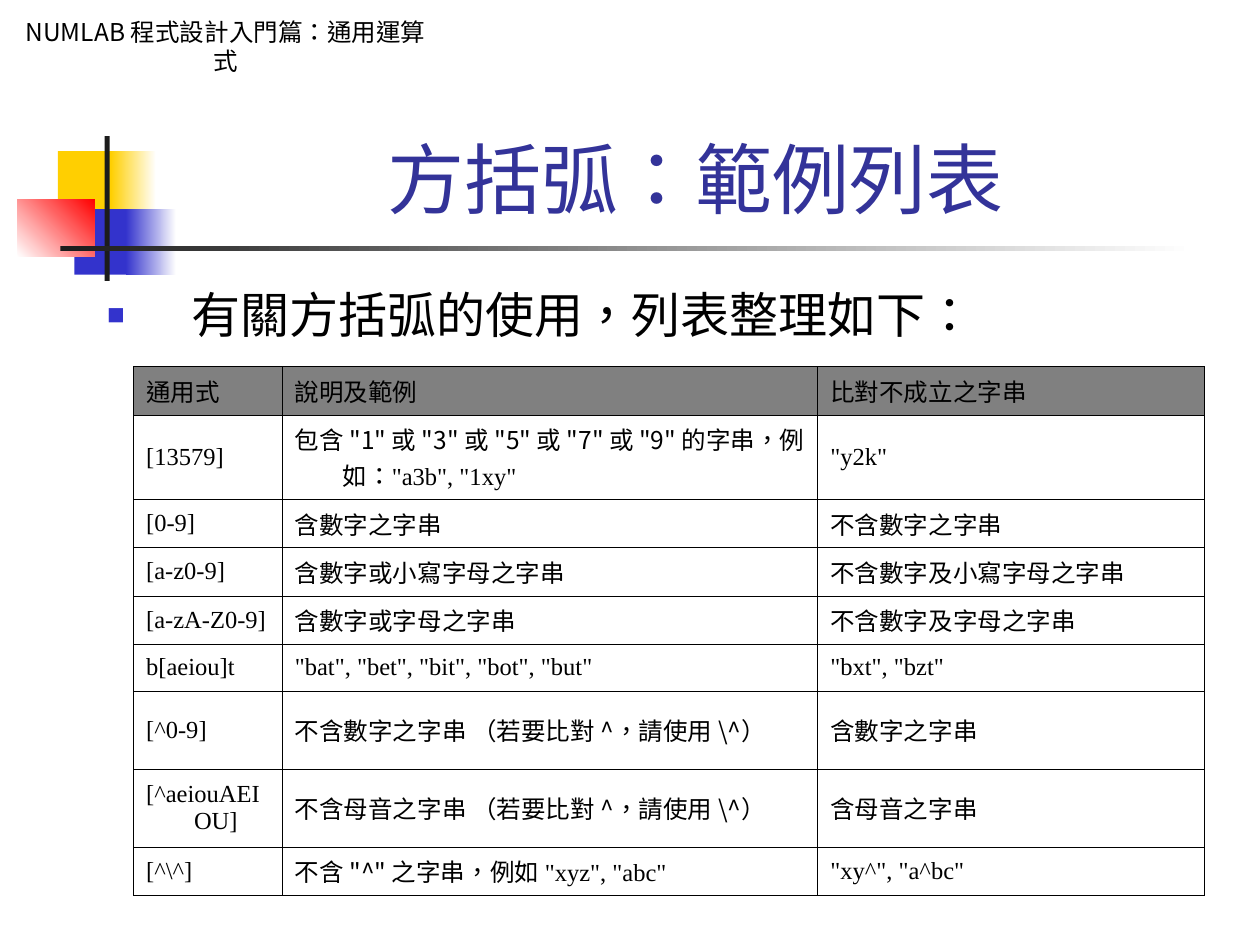
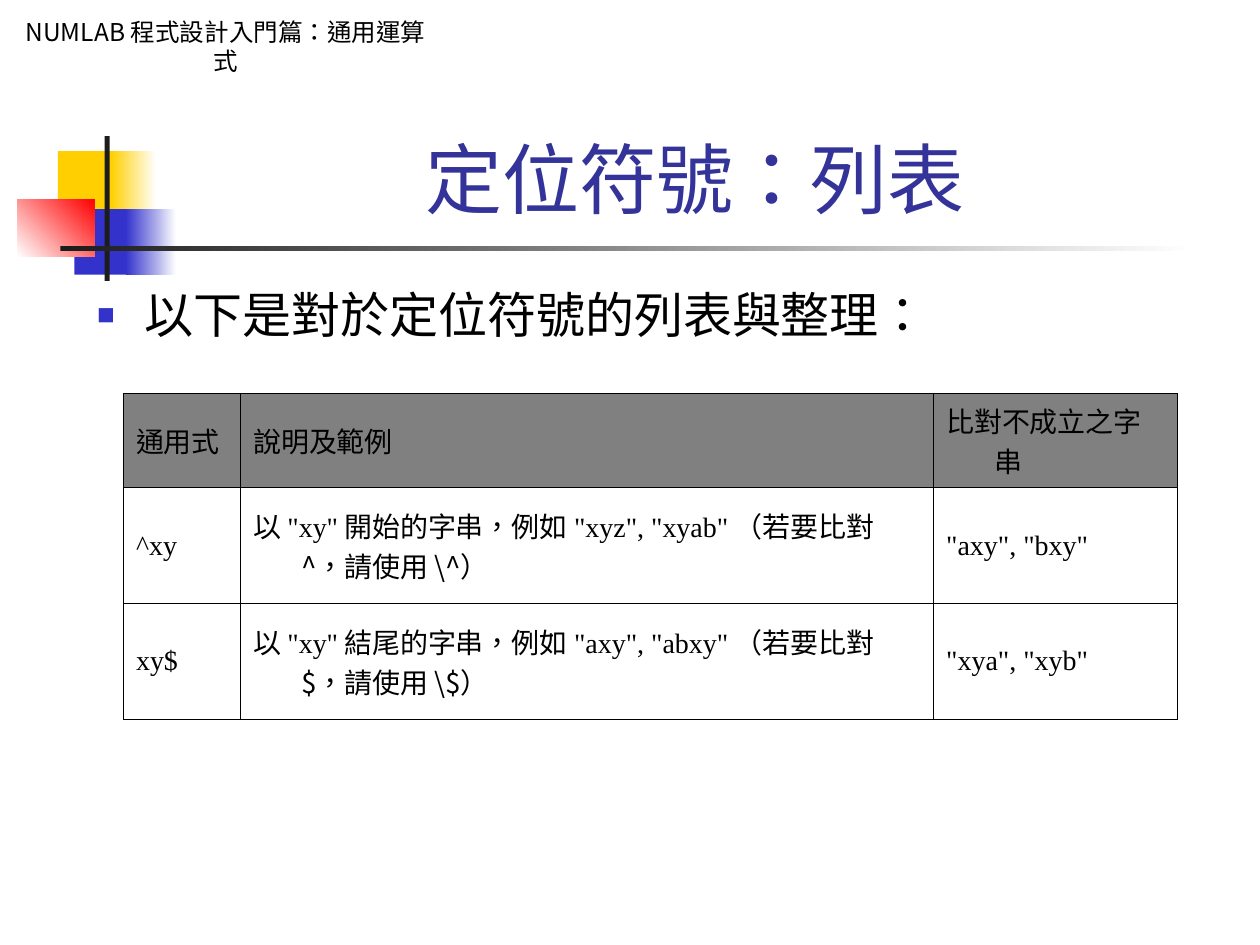
from lxml import etree
from pptx import Presentation
from pptx.dml.color import RGBColor
from pptx.enum.shapes import MSO_SHAPE
from pptx.enum.text import MSO_ANCHOR, MSO_AUTO_SIZE, PP_ALIGN
from pptx.oxml.ns import qn
from pptx.util import Inches, Pt

RECT = MSO_SHAPE.RECTANGLE
MIDDLE, BOTTOM = MSO_ANCHOR.MIDDLE, MSO_ANCHOR.BOTTOM
LEFT, CENTER, JUSTIFY = PP_ALIGN.LEFT, PP_ALIGN.CENTER, PP_ALIGN.JUSTIFY
NO_FIT = MSO_AUTO_SIZE.NONE

C = {
    "yellow": "FFCF01", "blue": "3333CC", "red": "FF0000", "dark": "1C1C1C",
    "title": "333399", "black": "000000", "white": "FFFFFF", "head": "808080",
}
SANS, SERIF, TITLE_FONT = "Noto Sans CJK SC", "Times New Roman", "Roboto"


def rgb(name):
    return RGBColor.from_string(C[name])


def style_run(r, size, font, color="black", asian=SANS):
    r.font.size = Pt(size)
    r.font.name = font
    r.font.color.rgb = rgb(color)
    rPr = r.font._element
    rPr.set("lang", "zh-TW")
    ea = etree.Element(qn("a:ea"), typeface=asian)
    rPr.find(qn("a:latin")).addnext(ea)


DECOR = [
    (0.46, 1.2, 0.48, 0.52, ["yellow"], 0),
    (0.88, 1.2, 0.36, 0.52, ["yellow", "white"], 0),
    (0.59, 1.66, 0.46, 0.52, ["blue"], 0),
    (1, 1.66, 0.4, 0.52, ["blue", "white"], 0),
    (0.14, 1.58, 0.61, 0.46, ["white", "red"], 45),
    (0.83, 1.08, 0.04, 1.15, ["dark"], 0),
    (0.48, 1.95, 9, 0.04, ["dark", "white"], 0),
    (0.08, 0.08, 3.42, 0.57, ["white"], 0),
]
HEADER = "NUMLAB 程式設計入門篇：通用運算式"
HEAD_ROW = ["通用式", "說明及範例", "比對不成立之字串"]

SLIDES = [
    {
        "title": "方括弧：範例列表",
        "body": "有關方括弧的使用，列表整理如下：",
        "body_at": (0.75, 2.21, 8.74, 4.5), "indent": 0.67, "align": LEFT, "font": SANS,
        "table_at": (1.06, 2.91), "size": 14,
        "cols": [1.18, 4.25, 3.07],
        "heights": [0.37, 0.62, 0.37, 0.37, 0.37, 0.37, 0.62, 0.62, 0.37],
        "rows": [
            HEAD_ROW,
            ["[13579]",
             ['包含 "1" 或 "3" 或 "5" 或 "7" 或 "9" 的字串，例如：', '"a3b", "1xy"'],
             '"y2k"'],
            ["[0-9]", "含數字之字串", "不含數字之字串"],
            ["[a-z0-9]", "含數字或小寫字母之字串", "不含數字及小寫字母之字串"],
            ["[a-zA-Z0-9]", "含數字或字母之字串", "不含數字及字母之字串"],
            ["b[aeiou]t", '"bat", "bet", "bit", "bot", "but"', '"bxt", "bzt"'],
            ["[^0-9]", "不含數字之字串 （若要比對 ^，請使用 \\^）", "含數字之字串"],
            ["[^aeiouAEIOU]", "不含母音之字串 （若要比對 ^，請使用 \\^）", "含母音之字串"],
            ["[^\\^]", ['不含 "^" 之字串，例如 ', '"xyz", "abc"'], '"xy^", "a^bc"'],
        ],
    },
    {
        "title": "定位符號：列表",
        "body": "以下是對於定位符號的列表與整理：",
        "body_at": (0.67, 2.21, 9.14, 4.5), "indent": 0.38, "align": JUSTIFY,
        "font": TITLE_FONT,
        "table_at": (0.98, 3.12), "size": 16,
        "cols": [0.93, 5.5, 1.93],
        "heights": [0.75, 0.92, 0.92],
        "rows": [
            HEAD_ROW,
            ["^xy",
             ["以 ", '"xy"', " 開始的字串，例如 ", '"xyz", "xyab"',
              " （若要比對 ^，請使用 \\^）"],
             '"axy", "bxy"'],
            ["xy$",
             ["以 ", '"xy"', " 結尾的字串，例如 ", '"axy", "abxy"',
              " （若要比對 $，請使用 \\$）"],
             '"xya", "xyb"'],
        ],
    },
]

prs = Presentation()
prs.slide_width, prs.slide_height = Inches(10), Inches(7.5)
layout = prs.slide_layouts[1]
title = layout.placeholders[0]
title.left, title.top = Inches(1.26), Inches(0.23)
title.width, title.height = Inches(8.52), Inches(1.6)

slides = [prs.slides.add_slide(layout) for data in SLIDES]

for x, y, w, h, colors, angle in DECOR:
    sp = slides[0].shapes.add_shape(RECT, Inches(x), Inches(y), Inches(w), Inches(h))
    sp.shadow.inherit = False
    sp.line.fill.background()
    if len(colors) == 1:
        sp.fill.solid()
        sp.fill.fore_color.rgb = rgb(colors[0])
    else:
        sp.fill.gradient()
        sp.fill.gradient_angle = angle
        for stop, color in zip(sp.fill.gradient_stops, colors):
            stop.color.rgb = rgb(color)
    layout.shapes._spTree.append(sp._element)

tf = sp.text_frame
tf.word_wrap = True
tf.text = HEADER
p = tf.paragraphs[0]
p.alignment = CENTER
p.line_spacing = Pt(17)
style_run(p.runs[0], 14, SANS)

for s, data in zip(slides, SLIDES):
    tf = s.shapes.title.text_frame
    tf.text = data["title"]
    tf.vertical_anchor = BOTTOM
    tf.auto_size = NO_FIT
    p = tf.paragraphs[0]
    p.alignment = CENTER
    style_run(p.runs[0], 44, TITLE_FONT, "title", TITLE_FONT)

    body = s.placeholders[1]
    body.left, body.top, body.width, body.height = map(Inches, data["body_at"])
    tf = body.text_frame
    tf.text = data["body"]
    tf.auto_size = NO_FIT
    p = tf.paragraphs[0]
    p.alignment = data["align"]
    p.space_before = Pt(0)
    p.line_spacing = Pt(33.5)
    pPr = p._p.get_or_add_pPr()
    pPr.set("marL", str(Inches(data["indent"])))
    pPr.set("indent", str(-Inches(data["indent"])))
    clr = etree.SubElement(pPr, qn("a:buClr"))
    etree.SubElement(clr, qn("a:srgbClr"), val=C["blue"])
    etree.SubElement(pPr, qn("a:buSzPct"), val="60000")
    etree.SubElement(pPr, qn("a:buChar"), char="■")
    style_run(p.runs[0], 28, data["font"])

    x, y = data["table_at"]
    cols, heights = data["cols"], data["heights"]
    table = s.shapes.add_table(
        len(heights), len(cols), Inches(x), Inches(y),
        Inches(sum(cols)), Inches(sum(heights))).table
    table.first_row = table.horz_banding = False
    for column, w in zip(table.columns, cols):
        column.width = Inches(w)
    for i, (row, h) in enumerate(zip(table.rows, heights)):
        row.height = Inches(h)
        for cell, content in zip(row.cells, data["rows"][i]):
            cell.vertical_anchor = MIDDLE
            cell.fill.solid()
            cell.fill.fore_color.rgb = rgb("white" if i else "head")
            tcPr = cell._tc.get_or_add_tcPr()
            for n, side in enumerate(("lnL", "lnR", "lnT", "lnB")):
                ln = etree.Element(qn("a:" + side), w=str(Pt(0.34)))
                fill = etree.SubElement(ln, qn("a:solidFill"))
                etree.SubElement(fill, qn("a:srgbClr"), val=C["black"])
                tcPr.insert(n, ln)
            p = cell.text_frame.paragraphs[0]
            pPr = p._p.get_or_add_pPr()
            pPr.set("marL", str(Inches(0.38)))
            pPr.set("indent", str(-Inches(0.38)))
            for piece in [content] if isinstance(content, str) else content:
                r = p.add_run()
                r.text = piece
                style_run(r, data["size"], SERIF if piece.isascii() else SANS)

prs.save("out.pptx")
